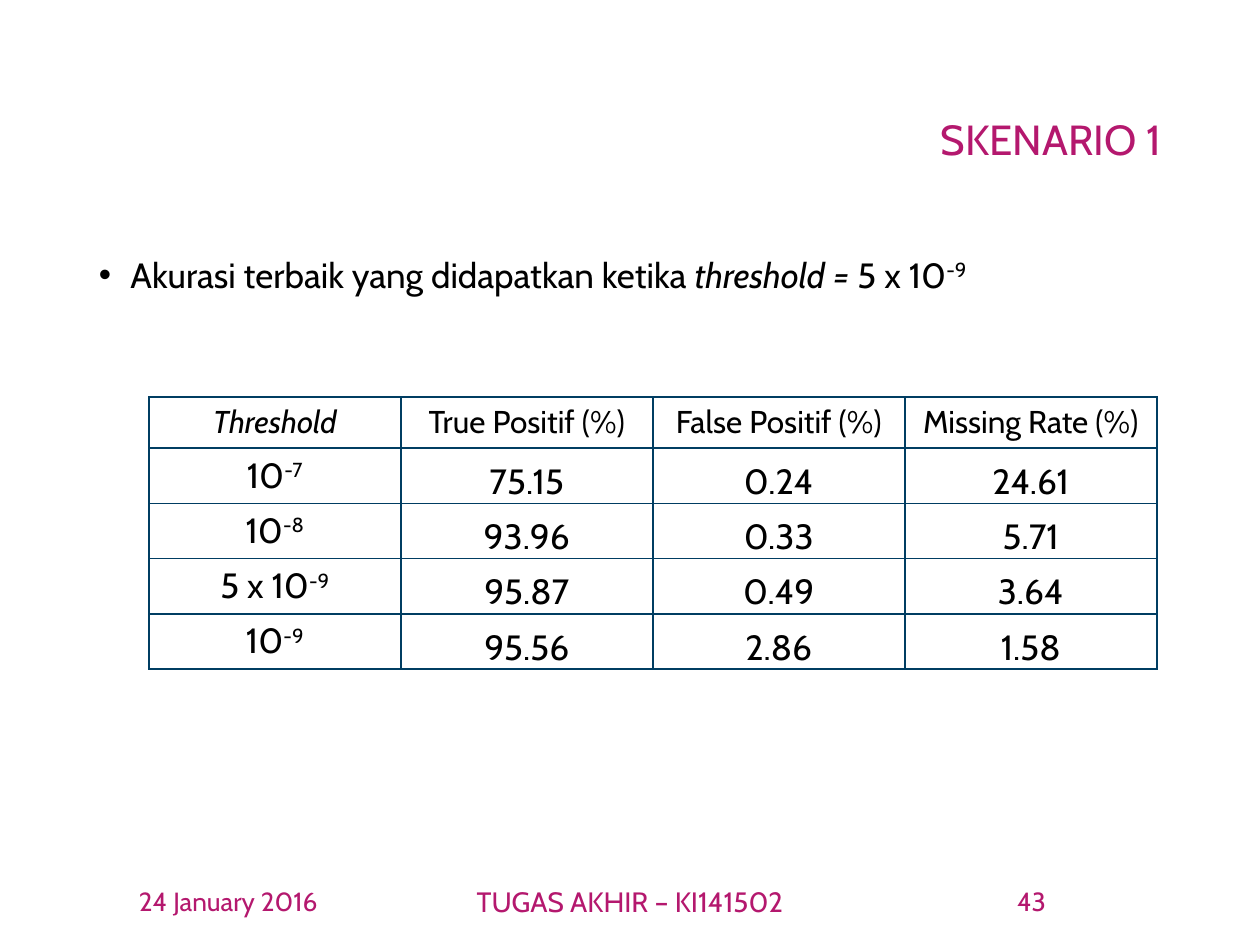
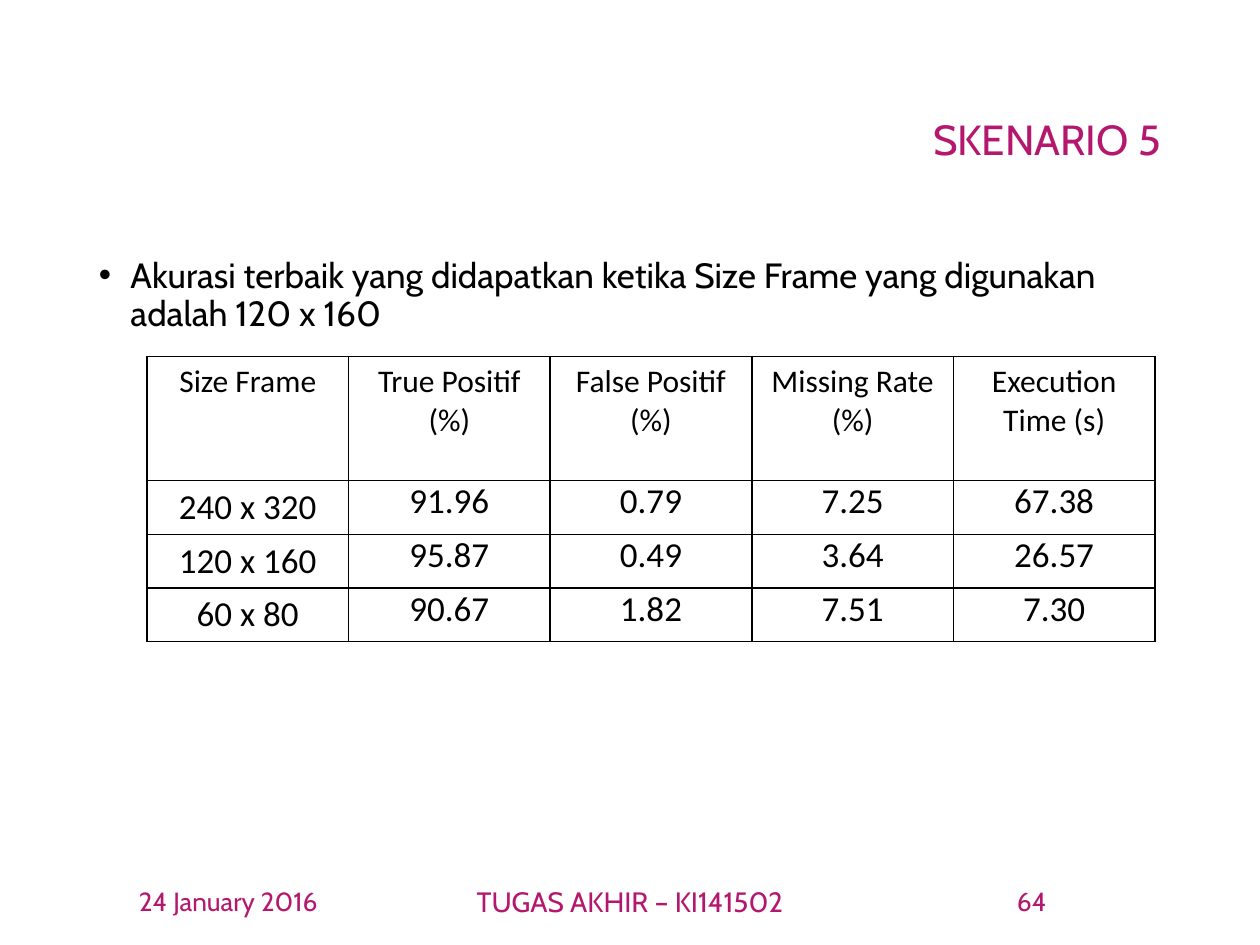
from lxml import etree
from pptx import Presentation
from pptx.dml.color import RGBColor
from pptx.enum import text
from pptx.oxml import ns
from pptx.util import Pt

MAGENTA, BLACK, NAVY = "B4186E", "000000", "003D62"
TOP, MIDDLE, BOTTOM = (text.MSO_ANCHOR.TOP, text.MSO_ANCHOR.MIDDLE,
                       text.MSO_ANCHOR.BOTTOM)
LEFT, CENTER, RIGHT = text.PP_ALIGN.LEFT, text.PP_ALIGN.CENTER, text.PP_ALIGN.RIGHT


def rgb(value):
    """Turn a hex string into a colour."""
    return RGBColor.from_string(value)


def sub(parent, tag, **attrs):
    """Append a DrawingML element and return it."""
    return etree.SubElement(parent, ns.qn(f"a:{tag}"), attrs)


def write(tf, content, font="Cabin", size=20, color=BLACK, align=CENTER,
          spacing=None, bullet=False):
    """Write a string, or (text, style) runs, into the first paragraph."""
    p = tf.paragraphs[0]
    if bullet:
        pPr = p._p.get_or_add_pPr()
        pPr.set("marL", str(Pt(18)))
        pPr.set("indent", str(Pt(-18)))
        sub(pPr, "buFont", typeface="Arial")
        sub(pPr, "buChar", char="•")
    p.alignment, p.line_spacing = align, spacing
    runs = [(content, "")] if isinstance(content, str) else content
    for words, style in runs:
        r = p.add_run()
        r.text = words
        r.font.name, r.font.size = font, Pt(size)
        r.font.color.rgb = rgb(color)
        r.font.italic = style == "italic"
        if style == "super":
            r._r.get_or_add_rPr().set("baseline", "30000")


def add_text(s, content, x, y, w, h, anchor=MIDDLE, **fmt):
    """Add a wrapping text box."""
    tf = s.shapes.add_textbox(Pt(x), Pt(y), Pt(w), Pt(h)).text_frame
    tf.word_wrap, tf.vertical_anchor = True, anchor
    write(tf, content, **fmt)


def add_borders(cell, color):
    """Draw a one-point line on all four sides of a cell."""
    tcPr = cell._tc.get_or_add_tcPr()
    for side in ("lnL", "lnR", "lnT", "lnB"):
        fill = sub(sub(tcPr, side, w=str(Pt(1))), "solidFill")
        sub(fill, "srgbClr", val=color)


def add_table(s, rows, x, y, head_height, row_height, color, font,
              key_anchor, value_anchor, key_inset):
    """Add a bordered table with a header row and a key column."""
    count, width = len(rows[0]), 576
    height = head_height + row_height * (len(rows) - 1)
    table = s.shapes.add_table(len(rows), count, Pt(x), Pt(y),
                               Pt(width), Pt(height)).table
    table.first_row = table.horz_banding = False
    for column in table.columns:
        column.width = Pt(width / count)
    for i, values in enumerate(rows):
        table.rows[i].height = Pt(row_height if i else head_height)
        for j, value in enumerate(values):
            cell = table.cell(i, j)
            add_borders(cell, color)
            cell.fill.background()
            if i:
                cell.vertical_anchor = value_anchor if j else key_anchor
                if j or key_inset:
                    cell.margin_left = cell.margin_right = Pt(5)
                    cell.margin_top = cell.margin_bottom = 0
            write(cell.text_frame, value, font=font, size=20 if i else 18)


def add_scenario(prs, title, finding, number):
    """Add a slide with its title, finding and footer."""
    s = prs.slides.add_slide(prs.slide_layouts[6])
    add_text(s, title, 49.5, 28.75, 621, 104.4, size=24, color=MAGENTA,
             align=RIGHT, spacing=0.9)
    add_text(s, finding, 49.5, 144, 621, 342.6, anchor=TOP, align=LEFT,
             spacing=0.9, bullet=True)
    for words, x, w, size in (("24 January 2016", 49.5, 162, 15),
                              ("TUGAS AKHIR – KI141502", 238.5, 243, 16),
                              (number, 508.5, 162, 15)):
        add_text(s, words, x, 500.5, w, 28.75, size=size, color=MAGENTA)
    return s


def power(base, exponent):
    """Return runs for a number with a raised exponent."""
    return [(base, ""), (exponent, "super")]


def main():
    """Build both scenario slides."""
    prs = Presentation()
    prs.slide_width, prs.slide_height = Pt(720), Pt(540)
    rates = ["True Positif (%)", "False Positif (%)", "Missing Rate (%)"]

    finding = [("Akurasi terbaik yang didapatkan ketika ", ""),
               ("threshold = ", "italic"), *power("5 x 10", "-9")]
    s = add_scenario(prs, "SKENARIO 1", finding, "43")
    thresholds = [
        [[("Threshold", "italic")], *rates],
        [power("10", "-7"), "75.15", "0.24", "24.61"],
        [power("10", "-8"), "93.96", "0.33", "5.71"],
        [power("5 x 10", "-9"), "95.87", "0.49", "3.64"],
        [power("10", "-9"), "95.56", "2.86", "1.58"],
    ]
    add_table(s, thresholds, 85, 226.8, 29.2, 31.6, NAVY, "Cabin",
              key_anchor=TOP, value_anchor=BOTTOM, key_inset=False)

    s = add_scenario(prs, "SKENARIO 5", "Akurasi terbaik yang didapatkan ketika "
                     "Size Frame yang digunakan adalah 120 x 160", "64")
    frame_sizes = [
        ["Size Frame", *rates, "Execution Time (s)"],
        ["240 x 320", "91.96", "0.79", "7.25", "67.38"],
        ["120 x 160", "95.87", "0.49", "3.64", "26.57"],
        ["60 x 80", "90.67", "1.82", "7.51", "7.30"],
    ]
    add_table(s, frame_sizes, 84, 203.8, 70.8, 30.7, BLACK, "Calibri",
              key_anchor=MIDDLE, value_anchor=TOP, key_inset=True)
    prs.save("out.pptx")


if __name__ == "__main__":
    main()
